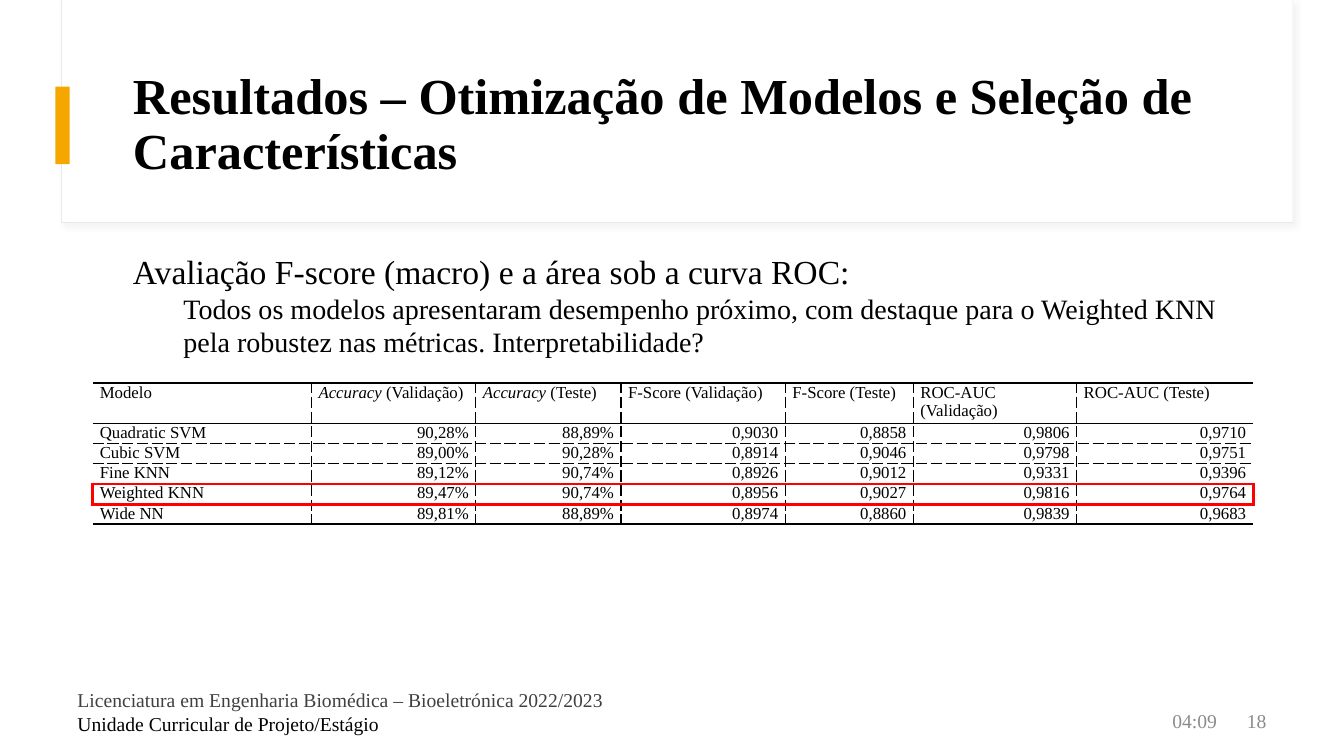
from dataclasses import dataclass

from lxml import etree
from pptx import Presentation
from pptx import util as u
from pptx.dml.color import RGBColor
from pptx.enum import shapes, text
from pptx.oxml import ns

FONT = "Times New Roman"
BLACK, RED, GREY = "000000", "FF0000", "8C8C8C"
LEFT, RIGHT = text.PP_ALIGN.LEFT, text.PP_ALIGN.RIGHT
TOP, MIDDLE = text.MSO_ANCHOR.TOP, text.MSO_ANCHOR.MIDDLE


@dataclass(frozen=True)
class Span:
    words: str
    size: float
    colour: str = BLACK
    bold: bool = False
    italic: bool = False
    new_line: bool = False


@dataclass(frozen=True)
class Para:
    spans: list[Span]
    align: text.PP_ALIGN = LEFT
    before: float = 0
    after: float = 0
    line_spacing: float = 1.0
    level: int = 0


@dataclass(frozen=True)
class TextBox:
    place: tuple[float, float, float, float]
    paras: list[Para]
    anchor: text.MSO_ANCHOR = TOP


@dataclass(frozen=True)
class Panel:
    place: tuple[float, float, float, float]
    fill: str
    line: str | None = None
    shadow: str | None = None


@dataclass(frozen=True)
class Border:
    colour: str
    width: float
    dash: str = "solid"


def rgb(colour: str) -> RGBColor:
    return RGBColor.from_string(colour)


def add_xml(parent, tag: str, **attributes: str):
    return etree.SubElement(parent, ns.qn(tag), attributes)


def write(frame, paras: list[Para]) -> None:
    for index, item in enumerate(paras):
        para = frame.paragraphs[0] if index == 0 else frame.add_paragraph()
        para.alignment = item.align
        para.space_before, para.space_after = u.Pt(item.before), u.Pt(item.after)
        para.line_spacing = item.line_spacing
        if item.level:
            para.level = item.level
            properties = para._p.get_or_add_pPr()
            properties.set("marL", str(u.Inches(0.5 * item.level)))
            properties.set("indent", "0")
        for span in item.spans:
            if span.new_line:
                para.add_line_break()
            run = para.add_run()
            run.text = span.words
            font = run.font
            font.name, font.size = FONT, u.Pt(span.size)
            font.bold, font.italic = span.bold, span.italic
            font.color.rgb = rgb(span.colour)


def draw_panel(page, panel: Panel) -> None:
    shape = page.shapes.add_shape(shapes.MSO_SHAPE.RECTANGLE, *map(u.Inches, panel.place))
    shape.shadow.inherit = False
    shape.fill.solid()
    shape.fill.fore_color.rgb = rgb(panel.fill)
    if panel.line:
        shape.line.color.rgb = rgb(panel.line)
        shape.line.width = u.Pt(0.75)
    else:
        shape.line.fill.background()
    if panel.shadow:
        effects = shape._element.spPr.find(ns.qn("a:effectLst"))
        shadow = add_xml(effects, "a:outerShdw", blurRad=str(u.Pt(4)), dist=str(u.Pt(3)),
                         dir=str(45 * 60000), algn="tl", rotWithShape="0")
        tint = add_xml(shadow, "a:srgbClr", val=panel.shadow)
        add_xml(tint, "a:alpha", val="30000")


def draw_text(page, item: TextBox) -> None:
    box = page.shapes.add_textbox(*map(u.Inches, item.place))
    box.text_frame.word_wrap = True
    box.text_frame.vertical_anchor = item.anchor
    write(box.text_frame, item.paras)


def set_borders(cell, left: Border | None, right: Border | None,
                top: Border, bottom: Border) -> None:
    properties = cell._tc.get_or_add_tcPr()
    sides = {"a:lnL": left, "a:lnR": right, "a:lnT": top, "a:lnB": bottom}
    for index, (tag, border) in enumerate(sides.items()):
        line = etree.Element(ns.qn(tag))
        properties.insert(index, line)
        if border is None:
            add_xml(line, "a:noFill")
            continue
        line.set("w", str(u.Pt(border.width)))
        add_xml(add_xml(line, "a:solidFill"), "a:srgbClr", val=border.colour)
        add_xml(line, "a:prstDash", val=border.dash)


# Slide furniture
PANELS = [
    Panel((0.61, 0, 12.21, 2.21), "FFFFFF", line="E9E9E9", shadow="D9D9D9"),
    Panel((0.62, 0, 12.2, 2.2), "FFFFFF"),
    Panel((0.55, 0.86, 0.14, 0.77), "F5A700"),
]

TEXTS = [
    TextBox((1.22, 0.6, 11.12, 1.29), [Para([Span(
        "Resultados – Otimização de Modelos e Seleção de Características", 36, bold=True)],
        line_spacing=0.9)], MIDDLE),
    TextBox((0.67, 6.78, 6.67, 0.57), [Para([
        Span("Licenciatura em Engenharia Biomédica – Bioeletrónica 2022/2023", 14, "404040"),
        Span("Unidade Curricular de Projeto/Estágio", 14, new_line=True)], after=6)]),
    TextBox((9.17, 6.95, 3, 0.4), [Para([Span("04:09", 14, GREY)], RIGHT)], MIDDLE),
    TextBox((9.66, 6.95, 3, 0.4), [Para([Span("18", 14, GREY)], RIGHT, after=6)], MIDDLE),
    TextBox((1.22, 2.44, 11.31, 1.18), [
        Para([Span("Avaliação F-score (macro) e a área sob a curva ROC:", 24)]),
        Para([Span("Todos os modelos apresentaram desempenho próximo, com destaque para o "
                   "Weighted KNN pela robustez nas métricas. Interpretabilidade?", 20)], level=1)]),
]

# Model results
ITALIC_WORD = "Accuracy"
COLUMN_WIDTHS = [2.17, 1.63, 1.44, 1.63, 1.27, 1.62, 1.75]
HEADER_HEIGHT, ROW_HEIGHT = 0.4, 0.2
RESULTS = [
    ["Modelo", "Accuracy (Validação)", "Accuracy (Teste)", "F-Score (Validação)",
     "F-Score (Teste)", "ROC-AUC (Validação)", "ROC-AUC (Teste)"],
    ["Quadratic SVM", "90,28%", "88,89%", "0,9030", "0,8858", "0,9806", "0,9710"],
    ["Cubic SVM", "89,00%", "90,28%", "0,8914", "0,9046", "0,9798", "0,9751"],
    ["Fine KNN", "89,12%", "90,74%", "0,8926", "0,9012", "0,9331", "0,9396"],
    ["Weighted KNN", "89,47%", "90,74%", "0,8956", "0,9027", "0,9816", "0,9764"],
    ["Wide NN", "89,81%", "88,89%", "0,8974", "0,8860", "0,9839", "0,9683"],
]
BEST_ROW = 4
DASHED = Border(BLACK, 1, "dash")
THICK = Border(BLACK, 1.5)
HIGHLIGHT = Border(RED, 2.25)
ROW_RULES = [THICK, Border(BLACK, 1), DASHED, DASHED, HIGHLIGHT, HIGHLIGHT, THICK]


def cell_spans(words: str) -> list[Span]:
    if words.startswith(ITALIC_WORD):
        return [Span(ITALIC_WORD, 12, italic=True), Span(words.removeprefix(ITALIC_WORD), 12)]
    return [Span(words, 12)]


def draw_results(page) -> None:
    row_count, column_count = len(RESULTS), len(COLUMN_WIDTHS)
    height = HEADER_HEIGHT + ROW_HEIGHT * (row_count - 1)
    table = page.shapes.add_table(row_count, column_count, u.Inches(0.92), u.Inches(3.8),
                                  u.Inches(sum(COLUMN_WIDTHS)), u.Inches(height)).table
    table.first_row = table.horz_banding = False
    for column, width in zip(table.columns, COLUMN_WIDTHS):
        column.width = u.Inches(width)
    for r, values in enumerate(RESULTS):
        table.rows[r].height = u.Inches(ROW_HEIGHT if r else HEADER_HEIGHT)
        outer = HIGHLIGHT if r == BEST_ROW else None
        for c, words in enumerate(values):
            cell = table.cell(r, c)
            cell.fill.background()
            cell.margin_left = cell.margin_right = u.Inches(0.07)
            cell.margin_top = cell.margin_bottom = 0
            write(cell.text_frame,
                  [Para(cell_spans(words), RIGHT if r and c else LEFT, before=6, after=6)])
            set_borders(cell, DASHED if c else outer,
                        DASHED if c < column_count - 1 else outer,
                        ROW_RULES[r], ROW_RULES[r + 1])


def main() -> None:
    deck = Presentation()
    deck.slide_width, deck.slide_height = u.Inches(13.33), u.Inches(7.5)
    page = deck.slides.add_slide(deck.slide_layouts[6])
    for panel in PANELS:
        draw_panel(page, panel)
    for item in TEXTS:
        draw_text(page, item)
    draw_results(page)
    deck.save("out.pptx")


if __name__ == "__main__":
    main()
